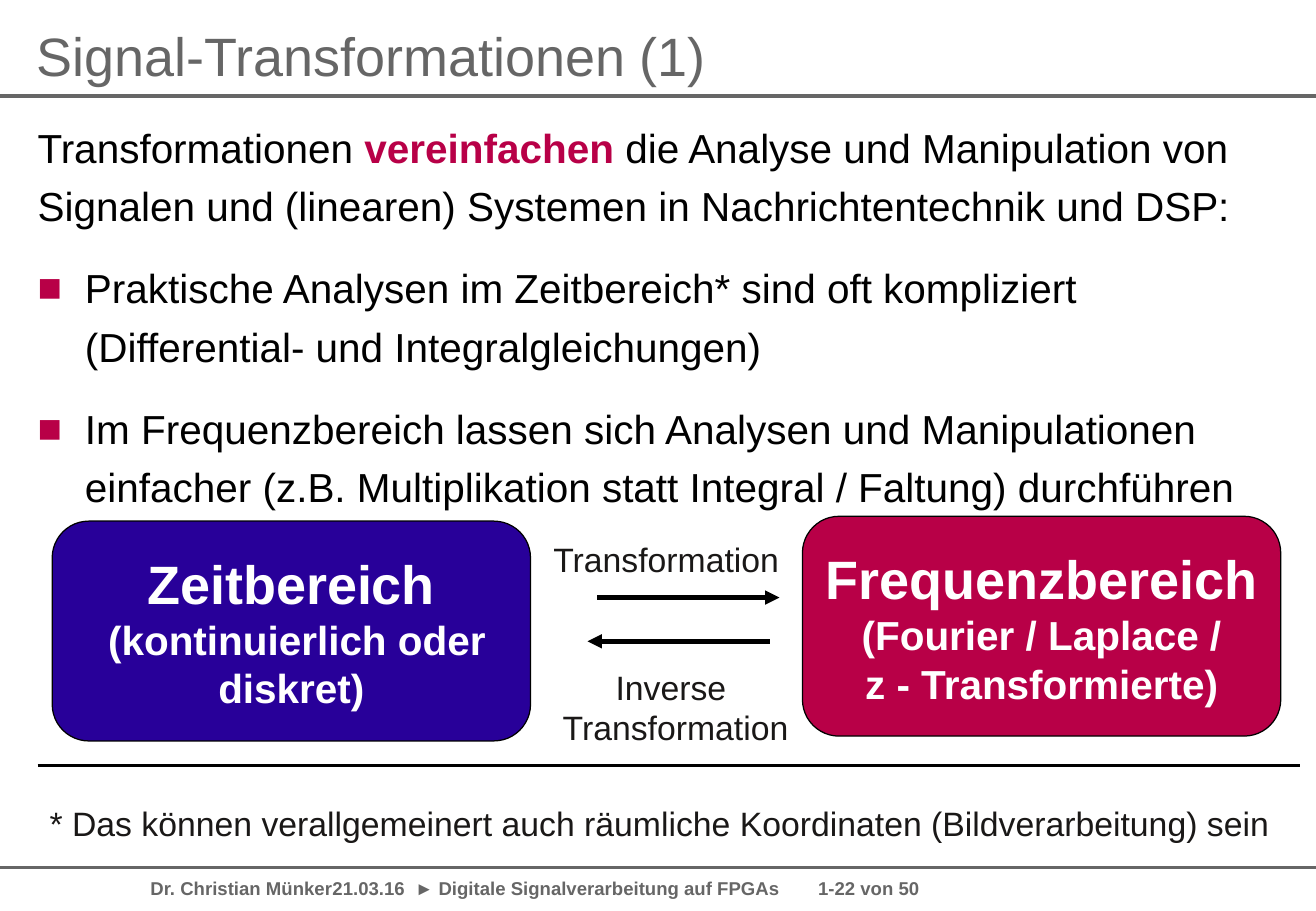
"""Build the slide on signal transformations between time and frequency domain."""
from lxml.etree import SubElement
from pptx import Presentation
from pptx.dml.color import RGBColor
from pptx.enum.shapes import MSO_CONNECTOR, MSO_SHAPE
from pptx.enum.text import MSO_ANCHOR, PP_ALIGN
from pptx.oxml.ns import qn
from pptx.util import Inches, Pt

COLOURS = {"grey": "666666", "crimson": "B80047", "indigo": "280099",
           "black": "000000", "ink": "1A1817", "white": "FFFFFF"}
PADDED = {"margin_left": Inches(0.1), "margin_right": Inches(0.1),
          "margin_top": Inches(0.05), "margin_bottom": Inches(0.05)}
FLUSH = dict.fromkeys(PADDED, 0)
MIDDLE = {"vertical_anchor": MSO_ANCHOR.MIDDLE}
WRAP = {"word_wrap": True}
CENTRED = {"alignment": PP_ALIGN.CENTER}

deck = Presentation()
deck.slide_width, deck.slide_height = Inches(10.84), Inches(7.5)
column, row = deck.slide_width / 100, deck.slide_height / 100
slide = deck.slides.add_slide(deck.slide_layouts[6])


def grid(left, top, width, height):
    return [round(v) for v in (left * column, top * row, width * column, height * row)]


def write(paragraph, runs, layout):
    for name, value in layout.items():
        setattr(paragraph, name, value)
    for text, size, colour, bold in runs:
        for number, line in enumerate(text.split("\n")):
            if number:
                paragraph.add_line_break()
            if line:
                run = paragraph.add_run()
                run.text = line
                look = {"name": "Arial", "size": Pt(size), "bold": bold}
                for name, value in look.items():
                    setattr(run.font, name, value)
                run.font.color.rgb = RGBColor.from_string(COLOURS[colour])


rules_and_arrows = [
    (0, 95.2, 100, "grey", 0, False),
    (0, 10.53, 100, "grey", 0, False),
    (2.86, 84, 98.8, "black", 0, False),
    (45.39, 65.6, 59.23, "black", 2.83, True),
    (58.49, 70.4, 44.65, "black", 2.83, True),
]
for start, level, end, colour, weight, has_head in rules_and_arrows:
    rule = slide.shapes.add_connector(
        MSO_CONNECTOR.STRAIGHT, round(start * column), round(level * row),
        round(end * column), round(level * row))
    rule.line.color.rgb = RGBColor.from_string(COLOURS[colour])
    rule.line.width = Pt(weight)
    if has_head:
        SubElement(rule.line._get_or_add_ln(), qn("a:tailEnd"), type="triangle")
    SubElement(rule._element.spPr, qn("a:effectLst"))

domains = [
    (3.97, 57.2, "indigo", "Zeitbereich\n", " (kontinuierlich oder diskret)"),
    (60.98, 56.67, "crimson", "Frequenzbereich\n",
     " (Fourier / Laplace / \nz - Transformierte)"),
]
for left, top, colour, heading, detail in domains:
    domain = slide.shapes.add_shape(
        MSO_SHAPE.ROUNDED_RECTANGLE, *grid(left, top, 36.35, 24.13))
    domain.shadow.inherit = False
    domain.fill.solid()
    domain.fill.fore_color.rgb = RGBColor.from_string(COLOURS[colour])
    domain.line.color.rgb = RGBColor.from_string(COLOURS["black"])
    domain.line.width = Pt(0)
    for name, value in {**PADDED, **MIDDLE, **WRAP}.items():
        setattr(domain.text_frame, name, value)
    write(domain.text_frame.paragraphs[0],
          [(heading, 32, "white", True), (detail, 24, "white", True)], CENTRED)

texts = [
    ((10.52, 95.6, 89.02, 3.73), {**PADDED, **WRAP}, {},
     ("Dr. Christian Münker\t21.03.16  ► Digitale Signalverarbeitung auf FPGAs"
      "\t1-22 von 50", 11, "grey", True)),
    ((2.77, 0.93, 77.12, 11.2), {**FLUSH, **MIDDLE, **WRAP}, {"line_spacing": 0.9},
     ("Signal-Transformationen (1)", 32, "grey", False)),
    ((41.14, 58.53, 19.1, 5.47), PADDED, {},
     ("Transformation", 20, "ink", False)),
    ((41.79, 72.53, 19.1, 9.6), PADDED, CENTRED,
     ("Inverse \nTransformation", 20, "ink", False)),
    ((2.86, 87.47, 94.65, 5.47), PADDED, {},
     ("* Das können verallgemeinert auch räumliche Koordinaten "
      "(Bildverarbeitung) sein", 20, "ink", False)),
]
for area, frame_format, layout, run in texts:
    frame = slide.shapes.add_textbox(*grid(*area)).text_frame
    for name, value in {"word_wrap": False, **frame_format}.items():
        setattr(frame, name, value)
    write(frame.paragraphs[0], [run], layout)

statements = [
    (False, [("Transformationen ", 24, "black", False),
             ("vereinfachen", 24, "crimson", True),
             (" die Analyse und Manipulation von Signalen und (linearen) "
              "Systemen in Nachrichtentechnik und DSP:", 24, "black", False)]),
    (True, [("Praktische Analysen im Zeitbereich* sind oft kompliziert "
             "(Differential- und Integralgleichungen)", 24, "black", False)]),
    (True, [("Im Frequenzbereich lassen sich Analysen und Manipulationen einfacher "
             "(z.B. Multiplikation statt Integral / Faltung) durchführen",
             24, "black", False)]),
]
body = slide.shapes.add_textbox(*grid(2.86, 12.4, 94.46, 40.93)).text_frame
for name, value in {**FLUSH, **WRAP}.items():
    setattr(body, name, value)
for number, (has_bullet, runs) in enumerate(statements):
    statement = body.add_paragraph() if number else body.paragraphs[0]
    if has_bullet:
        properties = statement._p.get_or_add_pPr()
        properties.set("marL", str(Inches(0.39)))
        properties.set("indent", str(-Inches(0.39)))
        bullet_colour = SubElement(properties, qn("a:buClr"))
        SubElement(bullet_colour, qn("a:srgbClr"), val=COLOURS["crimson"])
        SubElement(properties, qn("a:buFont"), typeface="Arial")
        SubElement(properties, qn("a:buChar"), char="■")
    write(statement, runs, {"line_spacing": 1.2, "space_after": Pt(14.2)})

deck.save("out.pptx")
